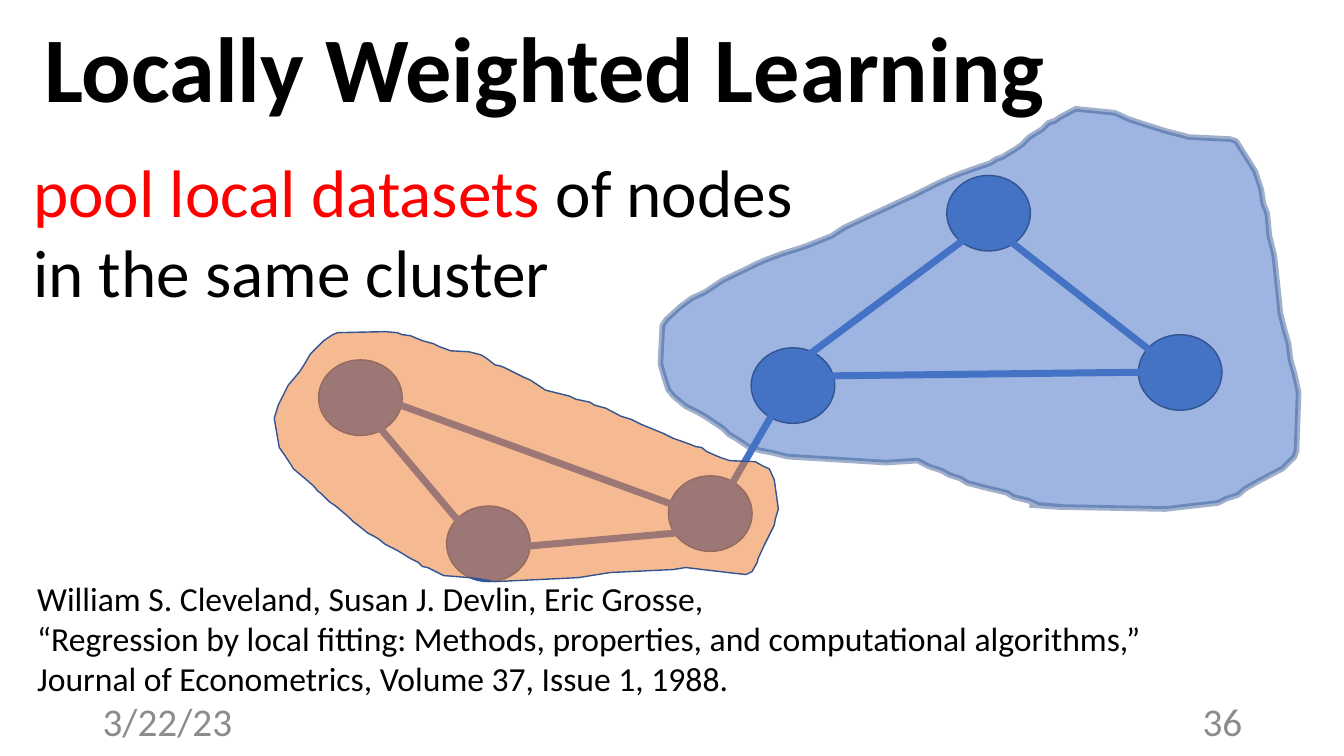
from lxml import etree
from pptx import Presentation
from pptx.dml.color import RGBColor
from pptx.enum.shapes import MSO_CONNECTOR, MSO_SHAPE
from pptx.enum.text import MSO_ANCHOR, MSO_AUTO_SIZE, PP_ALIGN
from pptx.oxml.ns import qn
from pptx.util import Pt

PX = 9144
BLUE = RGBColor(0x44, 0x72, 0xC4)
NAVY = RGBColor(0x32, 0x54, 0x91)
ORANGE = RGBColor(0xED, 0x7D, 0x31)
RED = RGBColor(0xFF, 0x00, 0x00)
BLACK = RGBColor(0x00, 0x00, 0x00)
GRAY = RGBColor(0x8C, 0x8C, 0x8C)

BLUE_OUTLINE = [
    (1055, 503), (1030, 501), (1021, 497), (1005, 493), (999, 489), (974, 483),
    (959, 479), (953, 475), (941, 471), (934, 467), (922, 463), (910, 457),
    (879, 459), (781, 453), (765, 449), (754, 447), (742, 443), (730, 435),
    (723, 431), (717, 425), (705, 417), (699, 413), (692, 409), (680, 403),
    (668, 393), (663, 387), (659, 375), (655, 361), (657, 323), (661, 317),
    (674, 305), (686, 296), (699, 290), (711, 282), (717, 278), (742, 266),
    (750, 262), (759, 258), (775, 252), (794, 246), (800, 244), (810, 240),
    (825, 234), (837, 226), (854, 218), (897, 198), (906, 194), (930, 182),
    (943, 176), (953, 172), (959, 170), (970, 166), (982, 162), (988, 158),
    (994, 156), (1007, 148), (1013, 144), (1021, 136), (1034, 128), (1040, 122),
    (1046, 120), (1052, 116), (1067, 108), (1106, 112), (1119, 118), (1137, 124),
    (1150, 128), (1156, 130), (1172, 134), (1179, 136), (1220, 138), (1226, 140),
    (1230, 146), (1245, 170), (1251, 188), (1253, 202), (1257, 212), (1259, 234),
    (1261, 242), (1264, 254), (1268, 292), (1270, 311), (1274, 327), (1278, 341),
    (1280, 357), (1284, 371), (1288, 389), (1286, 447), (1284, 453), (1272, 465),
    (1249, 477), (1235, 485), (1228, 491), (1216, 495), (1208, 499), (1156, 505),
    (1050, 503), (1021, 501),
]
ORANGE_OUTLINE = [
    (465, 349), (447, 348), (436, 344), (430, 341), (419, 338), (407, 333),
    (399, 332), (394, 330), (382, 329), (335, 330), (330, 332), (321, 338),
    (308, 351), (301, 363), (297, 369), (286, 382), (283, 388), (276, 402),
    (272, 415), (276, 438), (277, 444), (282, 451), (288, 460), (291, 465),
    (304, 476), (311, 482), (315, 487), (319, 490), (327, 498), (333, 502),
    (340, 508), (346, 513), (351, 518), (355, 521), (365, 529), (371, 532),
    (376, 535), (382, 540), (394, 546), (407, 554), (415, 558), (419, 562),
    (424, 563), (430, 566), (440, 571), (465, 573), (474, 574), (491, 577),
    (555, 574), (574, 573), (605, 568), (668, 565), (680, 563), (722, 568),
    (740, 570), (746, 567), (751, 558), (752, 554), (758, 541), (761, 535),
    (768, 521), (769, 515), (772, 505), (768, 476), (763, 465), (758, 463),
    (749, 458), (724, 457), (715, 454), (710, 452), (701, 448), (696, 444),
    (690, 443), (685, 441), (674, 437), (668, 435), (658, 430), (636, 421),
    (626, 416), (616, 413), (601, 405), (590, 402), (585, 399), (571, 396),
    (565, 393), (557, 391), (541, 387), (526, 377), (519, 374), (501, 365),
    (496, 363), (491, 362), (482, 355), (477, 352),
]

deck = Presentation()
deck.slide_width, deck.slide_height = 1333 * PX, 750 * PX
page = deck.slides.add_slide(deck.slide_layouts[6])


def add_cluster(outline, color, fill_alpha, line_width, closed):
    builder = page.shapes.build_freeform(*outline[0], scale=PX)
    builder.add_line_segments(outline[1:], close=closed)
    cluster = builder.convert_to_shape()
    cluster.shadow.inherit = False
    cluster.fill.solid()
    cluster.fill.fore_color.rgb = color
    cluster.line.color.rgb = NAVY
    cluster.line.width = Pt(line_width)
    fill_color = cluster.fill._xPr.find(qn("a:solidFill"))[0]
    etree.SubElement(fill_color, qn("a:alpha")).set("val", str(fill_alpha * 1000))
    return cluster


def add_text(left, top, width, height, lines, size, color, anchor=MSO_ANCHOR.TOP):
    box = page.shapes.add_textbox(left * PX, top * PX, width * PX, height * PX)
    frame = box.text_frame
    frame.word_wrap = True
    frame.vertical_anchor = anchor
    frame.text = "\n".join(lines)
    for para in frame.paragraphs:
        for span in para.runs:
            span.font.name = "Calibri"
            span.font.size = Pt(size)
            span.font.color.rgb = color
    return frame


blue_cluster = add_cluster(BLUE_OUTLINE, BLUE, 52, 4, False)
line_color = blue_cluster.line.fill._xPr.find(qn("a:solidFill"))[0]
etree.SubElement(line_color, qn("a:alpha")).set("val", "45000")

title = add_text(34, 10, 1237, 124, ["Locally Weighted Learning"], 66, BLACK, MSO_ANCHOR.MIDDLE)
title.paragraphs[0].line_spacing = 0.9
title.paragraphs[0].runs[0].font.bold = True

statement = add_text(23, 144, 1137, 172, ["pool local datasets ", "in the same cluster"], 48, BLACK)
statement.auto_size = MSO_AUTO_SIZE.SHAPE_TO_FIT_TEXT
statement.paragraphs[0].runs[0].font.color.rgb = RED
span = statement.paragraphs[0].add_run()
span.text = "of nodes"
span.font.name = "Calibri"
span.font.size = Pt(48)
span.font.color.rgb = BLACK

for left, top in [(939, 174), (745, 345), (316, 357), (443, 502), (663, 472), (1129, 332)]:
    node = page.shapes.add_shape(MSO_SHAPE.OVAL, left * PX, top * PX, 83 * PX, 75 * PX)
    node.shadow.inherit = False
    node.fill.solid()
    node.fill.fore_color.rgb = BLUE
    node.line.color.rgb = NAVY
    node.line.width = Pt(1)

for ends in [
    (976, 223, 790, 361), (704, 518, 777, 392), (499, 544, 702, 526), (370, 392, 704, 514),
    (480, 547, 362, 407), (1156, 369, 813, 373), (981, 223, 1159, 362),
]:
    edge = page.shapes.add_connector(MSO_CONNECTOR.STRAIGHT, *[end * PX for end in ends])
    edge.line.color.rgb = BLUE
    edge.line.width = Pt(5)
    etree.SubElement(edge._element.spPr, qn("a:effectLst"))

citation = add_text(27, 568, 1133, 131, [
    "William S. Cleveland, Susan J. Devlin, Eric Grosse,",
    "“Regression by local fitting: Methods, properties, and computational algorithms,”",
    "Journal of Econometrics, Volume 37, Issue 1, 1988.",
], 24, BLACK)
citation.word_wrap = False
citation.auto_size = MSO_AUTO_SIZE.SHAPE_TO_FIT_TEXT

add_cluster(ORANGE_OUTLINE, ORANGE, 53, 1, True)

add_text(92, 695, 300, 40, ["3/22/23"], 28, GRAY, MSO_ANCHOR.MIDDLE)
page_number = add_text(942, 695, 300, 40, ["36"], 28, GRAY, MSO_ANCHOR.MIDDLE)
page_number.paragraphs[0].alignment = PP_ALIGN.RIGHT

deck.save("out.pptx")
